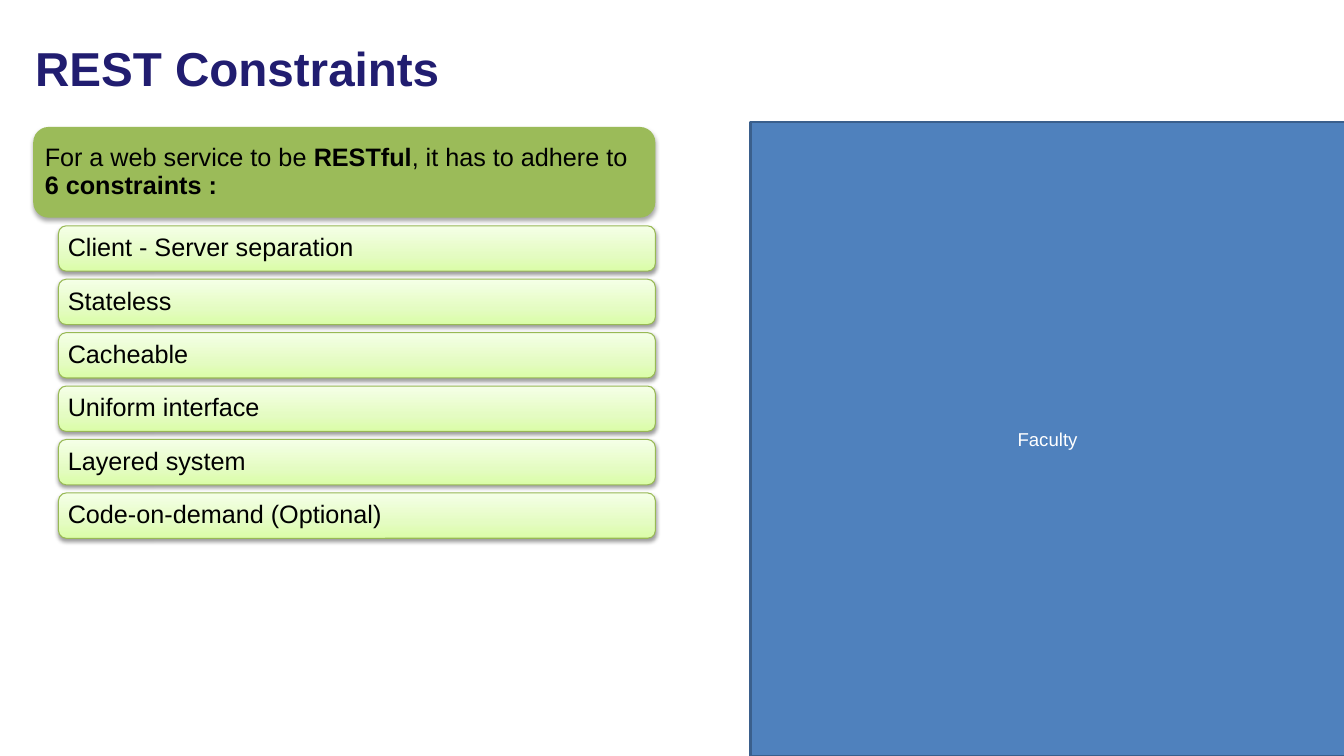
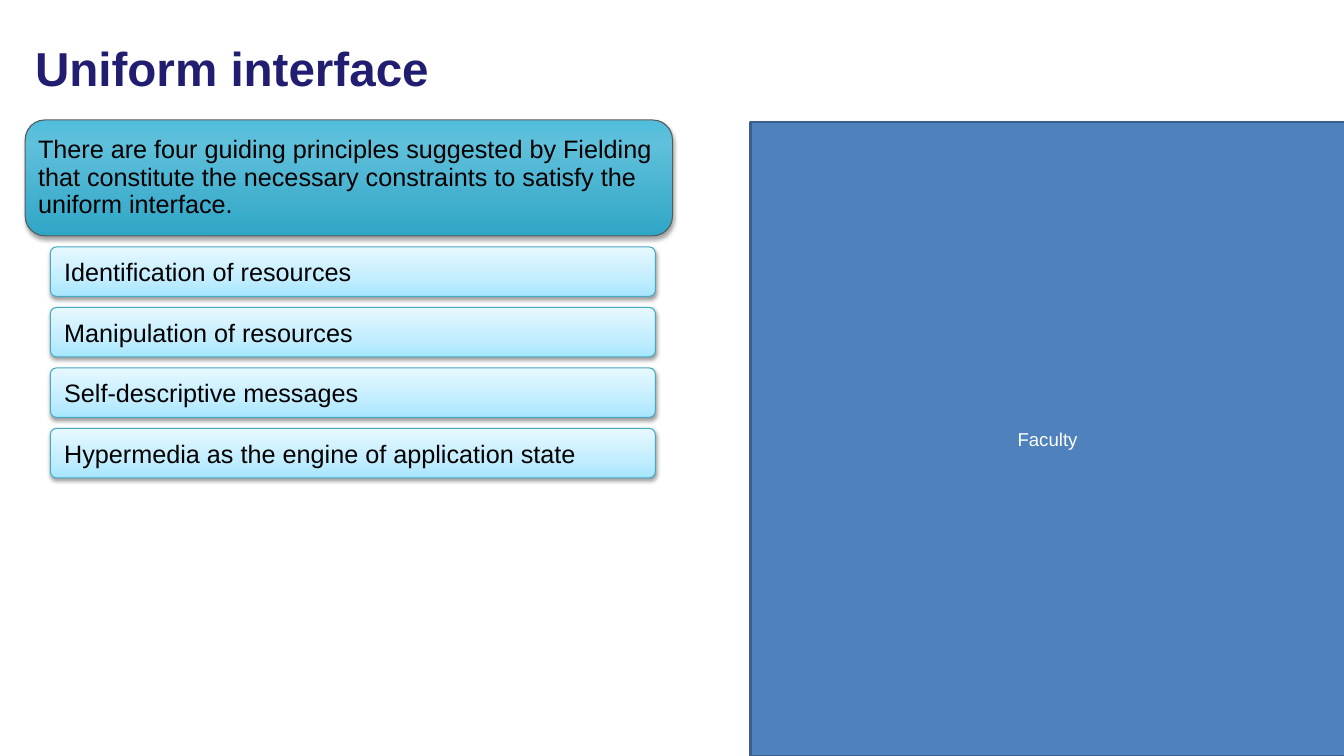
from lxml import etree
from pptx import Presentation
from pptx.dml.color import RGBColor
from pptx.enum.shapes import MSO_SHAPE
from pptx.enum.text import MSO_ANCHOR, PP_ALIGN
from pptx.oxml.ns import qn
from pptx.util import Inches, Pt

FONT = "Arial"
NAVY = RGBColor(0x21, 0x1D, 0x70)
BLACK = RGBColor(0x00, 0x00, 0x00)
WHITE = RGBColor(0xFF, 0xFF, 0xFF)
PANEL_BLUE = RGBColor(0x4F, 0x81, 0xBD)
PANEL_EDGE = RGBColor(0x3A, 0x5F, 0x8C)
GREEN = RGBColor(0x9B, 0xBB, 0x59)
GREEN_EDGE = RGBColor(0x98, 0xB9, 0x55)
TEAL_EDGE = RGBColor(0x46, 0xAA, 0xC5)
GRAY_EDGE = RGBColor(0x59, 0x59, 0x59)

# Gradient stops run from the bottom edge to the top: (percent, colour)
GREEN_FADE = [(0, RGBColor(0xDA, 0xFD, 0xA7)), (35, RGBColor(0xE4, 0xFC, 0xC2)),
              (100, RGBColor(0xF5, 0xFF, 0xE7))]
TEAL_FADE = [(0, RGBColor(0x30, 0xA6, 0xC6)), (80, RGBColor(0x5F, 0xC0, 0xDB)),
             (100, RGBColor(0x50, 0xBE, 0xDC))]
CYAN_FADE = [(0, RGBColor(0xA7, 0xE6, 0xFF)), (35, RGBColor(0xC1, 0xED, 0xFF)),
             (100, RGBColor(0xE7, 0xF8, 0xFF))]

SLIDES = [
    {
        "title": "REST Constraints",
        "intro": [("For a web service to be ", False), ("RESTful", True),
                  (", it has to adhere to ", False), ("6 constraints :", True)],
        "intro_box": (0.33, 1.26, 6.17, 0.9),
        "intro_fill": GREEN, "intro_edge": None,
        "items": ["Client - Server separation", "Stateless", "Cacheable",
                  "Uniform interface", "Layered system", "Code-on-demand (Optional)"],
        "first_item": (0.58, 2.24, 5.92, 0.45), "pitch": 0.53,
        "item_fill": GREEN_FADE, "item_edge": GREEN_EDGE,
        "item_style": {"margins": (0.07, 0.07), "spacing": 0.9, "corner": 0.17},
    },
    {
        "title": "Uniform interface",
        "intro": [("There are four guiding principles suggested by Fielding that constitute "
                   "the necessary constraints to satisfy the uniform interface.", False)],
        "intro_box": (0.25, 1.19, 6.42, 1.15),
        "intro_fill": TEAL_FADE, "intro_edge": GRAY_EDGE,
        "items": ["Identification of resources", "Manipulation of resources",
                  "Self-descriptive messages",
                  "Hypermedia as the engine of application state"],
        "first_item": (0.5, 2.45, 6, 0.49), "pitch": 0.6,
        "item_fill": CYAN_FADE, "item_edge": TEAL_EDGE,
        "item_style": {"margins": (0.12, 0.08), "spacing": 1.0, "corner": 0.12},
    },
]


def add_text(shape, runs, size, color, margins=(0.1, 0.05), spacing=1.0, align=PP_ALIGN.LEFT):
    """Fill a shape with one paragraph of (text, bold) runs, centred vertically."""
    frame = shape.text_frame
    frame.word_wrap = True
    frame.vertical_anchor = MSO_ANCHOR.MIDDLE
    frame.margin_left = frame.margin_right = Inches(margins[0])
    frame.margin_top = frame.margin_bottom = Inches(margins[1])
    paragraph = frame.paragraphs[0]
    paragraph.alignment = align
    paragraph.line_spacing = spacing
    paragraph.font.name = FONT
    paragraph.font.size = Pt(size)
    paragraph.font.color.rgb = color
    for words, bold in runs:
        run = paragraph.add_run()
        run.text = words
        run.font.bold = bold


def add_card(slide, box, runs, fill, edge, shadow, margins=(0.07, 0.07), spacing=0.9, corner=0.17):
    """Add a rounded card; fill is a colour or gradient stops, shadow is (opacity %, distance pt)."""
    card = slide.shapes.add_shape(MSO_SHAPE.ROUNDED_RECTANGLE, *map(Inches, box))
    card.adjustments[0] = corner
    properties = card._element.spPr
    if isinstance(fill, RGBColor):
        card.fill.solid()
        card.fill.fore_color.rgb = fill
    else:
        card.fill.gradient()
        card.fill.gradient_angle = 90
        stops = properties.find(".//" + qn("a:gsLst"))
        stops.clear()
        for percent, color in fill:
            stop = etree.SubElement(stops, qn("a:gs"), pos=str(percent * 1000))
            etree.SubElement(stop, qn("a:srgbClr"), val=str(color))
    if edge is None:
        card.line.fill.background()
    else:
        card.line.color.rgb = edge
        card.line.width = Pt(0.75)

    card.shadow.inherit = False
    opacity, distance = shadow
    outer = etree.SubElement(properties.find(qn("a:effectLst")), qn("a:outerShdw"),
                             blurRad=str(Pt(3.1)), dist=str(Pt(distance)),
                             dir="5400000", rotWithShape="0")
    tint = etree.SubElement(outer, qn("a:srgbClr"), val=str(BLACK))
    etree.SubElement(tint, qn("a:alpha"), val=str(opacity * 1000))
    add_text(card, runs, 18, BLACK, margins, spacing)


deck = Presentation()
deck.slide_width = Inches(13.33)
deck.slide_height = Inches(7.5)

for content in SLIDES:
    slide = deck.slides.add_slide(deck.slide_layouts[6])

    panel = slide.shapes.add_shape(MSO_SHAPE.RECTANGLE, Inches(7.44), Inches(1.21),
                                   Inches(5.9), Inches(6.29))
    panel.shadow.inherit = False
    panel.fill.solid()
    panel.fill.fore_color.rgb = PANEL_BLUE
    panel.line.color.rgb = PANEL_EDGE
    panel.line.width = Pt(2)
    add_text(panel, [("Faculty", False)], 13.3, WHITE, align=PP_ALIGN.CENTER)

    title = slide.shapes.add_textbox(Inches(0.25), Inches(0.25), Inches(11.81), Inches(0.91))
    add_text(title, [(content["title"], True)], 34, NAVY, spacing=0.9)

    add_card(slide, content["intro_box"], content["intro"], content["intro_fill"],
             content["intro_edge"], shadow=(35, 1.8))

    left, top, width, height = content["first_item"]
    for row, item in enumerate(content["items"]):
        add_card(slide, (left, top + row * content["pitch"], width, height), [(item, False)],
                 content["item_fill"], content["item_edge"], shadow=(38, 1.6),
                 **content["item_style"])

deck.save("out.pptx")
